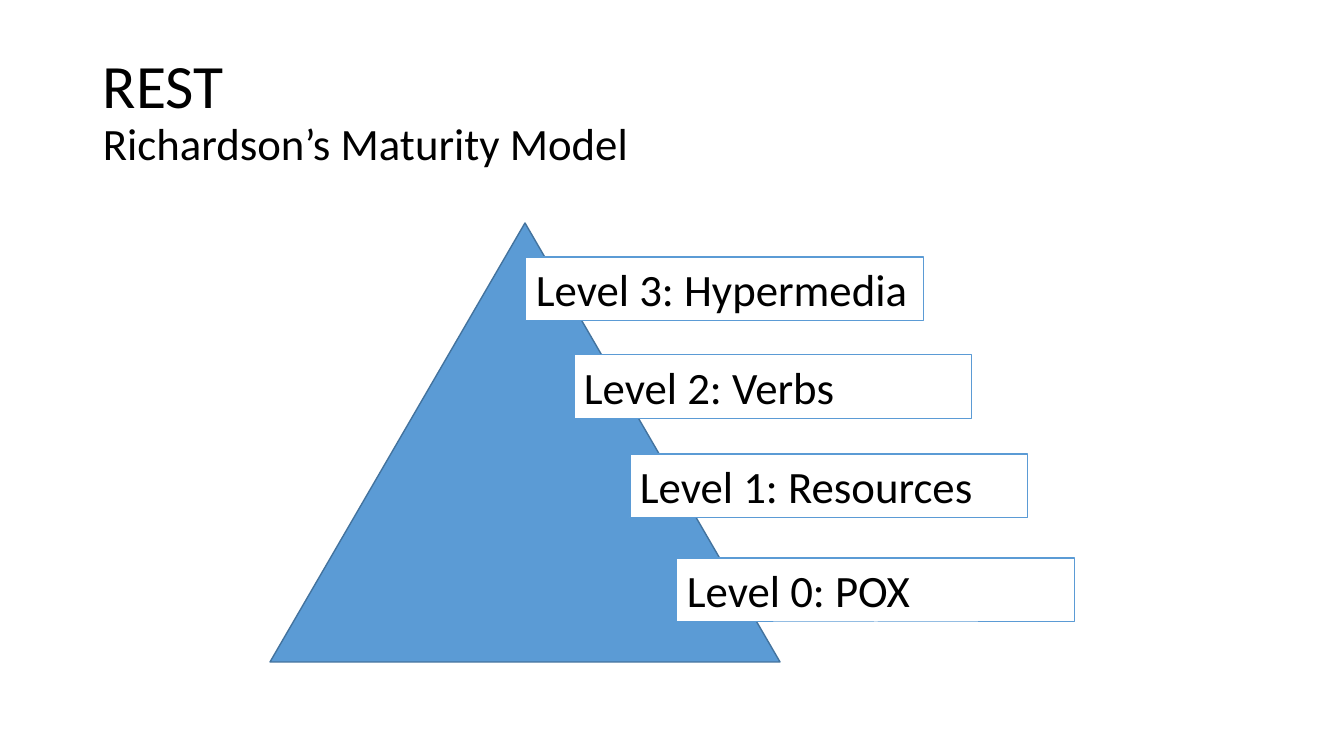
from pptx import Presentation
from pptx.dml.color import RGBColor
from pptx.enum.shapes import MSO_SHAPE
from pptx.enum.text import MSO_ANCHOR, MSO_AUTO_SIZE, PP_ALIGN
from pptx.util import Emu, Pt

BLACK = RGBColor(0x00, 0x00, 0x00)
WHITE = RGBColor(0xFF, 0xFF, 0xFF)
BLUE = RGBColor(0x5B, 0x9B, 0xD5)
DARK_BLUE = RGBColor(0x43, 0x73, 0x9E)


def px(length):
    return Emu(round(length * 914400 / 100.8))


def apply_formats(target, formats):
    for name, value in formats.items():
        setattr(target, name, value)


class MaturitySlide:
    font = {"name": "Calibri"}
    label_frame = {"word_wrap": True, "auto_size": MSO_AUTO_SIZE.SHAPE_TO_FIT_TEXT,
                   "vertical_anchor": MSO_ANCHOR.TOP}
    title_frame = {"word_wrap": True, "vertical_anchor": MSO_ANCHOR.MIDDLE}

    def __init__(self, deck):
        self.slide = deck.slides.add_slide(deck.slide_layouts[6])
        self.pyramid = self.slide.shapes.add_group_shape()

    def wording(self, paragraph, text, size):
        run = paragraph.add_run()
        run.text = text
        apply_formats(run.font, {**self.font, "size": Pt(size)})
        run.font.color.rgb = BLACK

    def title(self, box, heading, subheading):
        frame = self.slide.shapes.add_textbox(*map(px, box)).text_frame
        apply_formats(frame, self.title_frame)
        paragraph = frame.paragraphs[0]
        paragraph.line_spacing = 0.9
        self.wording(paragraph, heading, 44)
        paragraph.add_line_break()
        self.wording(paragraph, subheading, 32)

    def block(self, preset, box, fill, line, weight):
        part = self.pyramid.shapes.add_shape(preset, *map(px, box))
        part.shadow.inherit = False
        part.fill.solid()
        part.fill.fore_color.rgb = fill
        part.line.color.rgb = line
        part.line.width = Pt(weight)
        return part

    def label(self, left, top, text):
        level = self.block(MSO_SHAPE.RECTANGLE, (left, top, 398, 64), WHITE, BLUE, 0.75)
        apply_formats(level.text_frame, self.label_frame)
        paragraph = level.text_frame.paragraphs[0]
        paragraph.alignment = PP_ALIGN.LEFT
        self.wording(paragraph, text, 32)


def main():
    deck = Presentation()
    apply_formats(deck, {"slide_width": px(1344), "slide_height": px(756)})
    maturity = MaturitySlide(deck)
    maturity.title((93, 40, 1159, 146), "REST", "Richardson’s Maturity Model")
    maturity.block(MSO_SHAPE.ISOSCELES_TRIANGLE, (270, 223, 510, 439), BLUE, DARK_BLUE, 1)
    levels = [
        (526, 257, "Level 3: Hypermedia"),
        (574, 355, "Level 2: Verbs"),
        (630, 454, "Level 1: Resources"),
        (677, 558, "Level 0: POX"),
    ]
    for left, top, text in levels:
        maturity.label(left, top, text)
    deck.save("out.pptx")


if __name__ == "__main__":
    main()
